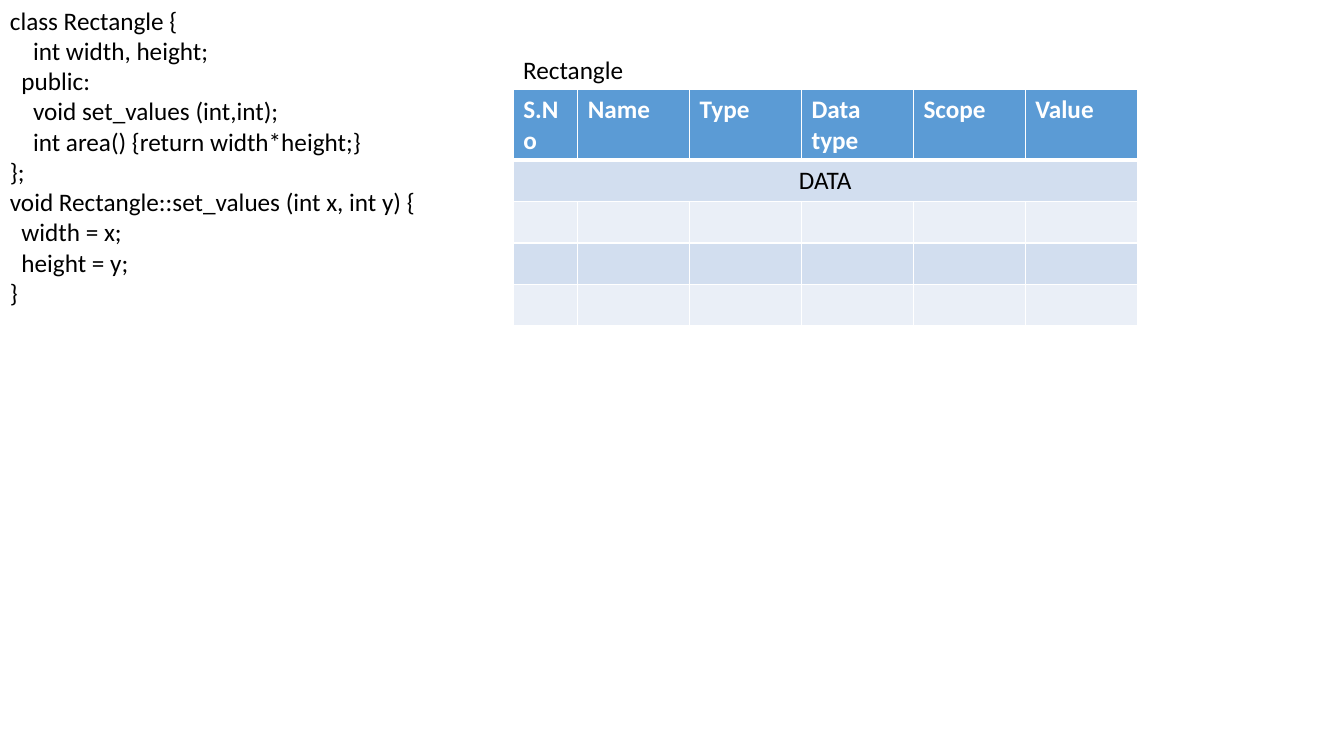
import pptx
import pptx.dml.color
import pptx.enum.text
import pptx.oxml.ns
import pptx.util
from lxml import etree
from pptx.util import Inches

COLORS = {
    "text": "000000",
    "border": "FFFFFF",
    "header_text": "FFFFFF",
    "header": "5B9BD5",
    "dark_band": "D2DEEF",
    "light_band": "EAEFF7",
}
INDENT_STEP = 0.115

# Indent level and text of each code line
CODE_LINES = [
    (0, "class Rectangle {"),
    (2, "int width, height;"),
    (1, "public:"),
    (2, "void set_values (int,int);"),
    (2, "int area() {return width*height;}"),
    (0, "};"),
    (0, "void Rectangle::set_values (int x, int y) {"),
    (1, "width = x;"),
    (1, "height = y;"),
    (0, "}"),
]
HEADERS = ["S.No", "Name", "Type", "Data type", "Scope", "Value"]
COLUMN_WIDTHS = [0.64] + [1.11] * 5
ROW_COUNT = 5
ROW_HEIGHT = 0.41


def rgb(name):
    return pptx.dml.color.RGBColor.from_string(COLORS[name])


def write_text(para, text, size=18, color="text", bold=False, indent=0, align=None):
    span = para.add_run()
    span.text = text
    span.font.name = "Calibri"
    span.font.size = pptx.util.Pt(size)
    span.font.bold = bold
    span.font.color.rgb = rgb(color)
    if align is not None:
        para.alignment = align
    if indent:
        para._p.get_or_add_pPr().set("marL", str(Inches(indent)))


def add_text_box(page, left, top, width, height, lines, wrap=True):
    box = page.shapes.add_textbox(
        Inches(left), Inches(top), Inches(width), Inches(height))
    frame = box.text_frame
    frame.word_wrap = wrap
    frame.auto_size = pptx.enum.text.MSO_AUTO_SIZE.SHAPE_TO_FIT_TEXT
    for number, (level, text) in enumerate(lines):
        para = frame.add_paragraph() if number else frame.paragraphs[0]
        write_text(para, text, indent=level * INDENT_STEP)


def style_cell(cell, fill, top=1, bottom=1):
    properties = cell._tc.get_or_add_tcPr()
    qn = pptx.oxml.ns.qn
    for side, points in (("L", 1), ("R", 1), ("T", top), ("B", bottom)):
        line = etree.SubElement(
            properties, qn("a:ln" + side), w=str(pptx.util.Pt(points)))
        solid = etree.SubElement(line, qn("a:solidFill"))
        etree.SubElement(solid, qn("a:srgbClr"), val=COLORS["border"])
    cell.fill.solid()
    cell.fill.fore_color.rgb = rgb(fill)


def add_symbol_table(page, left, top):
    table = page.shapes.add_table(
        ROW_COUNT, len(HEADERS), Inches(left), Inches(top),
        Inches(sum(COLUMN_WIDTHS)), Inches(ROW_COUNT * ROW_HEIGHT)).table
    for column, width in zip(table.columns, COLUMN_WIDTHS):
        column.width = Inches(width)

    # Header and alternating bands
    for number, row in enumerate(table.rows):
        row.height = Inches(ROW_HEIGHT)
        band = "dark_band" if number % 2 else "light_band"
        for cell in row.cells:
            style_cell(cell, band if number else "header",
                       top=3 if number == 1 else 1,
                       bottom=1 if number else 3)
    for column, title in enumerate(HEADERS):
        write_text(table.cell(0, column).text_frame.paragraphs[0], title,
                   color="header_text", bold=True)

    # Section row across all columns
    section = table.cell(1, 0)
    section.merge(table.cell(1, len(HEADERS) - 1))
    write_text(section.text_frame.paragraphs[0], "DATA",
               align=pptx.enum.text.PP_ALIGN.CENTER)


def main():
    deck = pptx.Presentation()
    deck.slide_width, deck.slide_height = Inches(13.33), Inches(7.5)
    page = deck.slides.add_slide(deck.slide_layouts[6])
    # Class source
    add_text_box(page, 0, 0, 6.67, 3.13, CODE_LINES)
    # Symbol table and its title
    add_symbol_table(page, 5.09, 0.89)
    add_text_box(page, 5.09, 0.49, 1.21, 0.4, [(0, "Rectangle")], wrap=False)
    deck.save("out.pptx")


if __name__ == "__main__":
    main()
